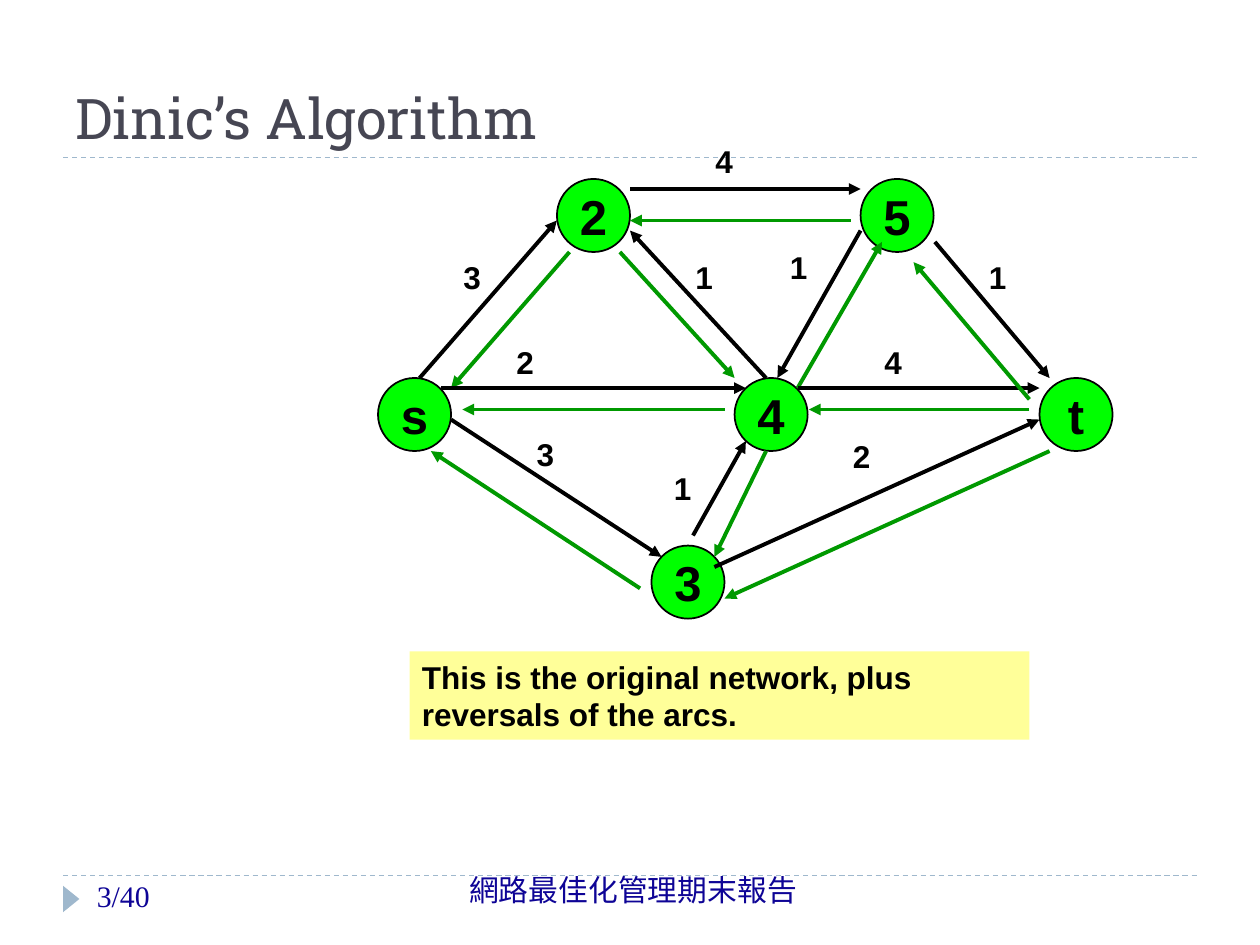
from dataclasses import dataclass

import pptx
import pptx.dml.color
import pptx.enum.dml
import pptx.enum.shapes
import pptx.enum.text
import pptx.oxml.ns
import pptx.util
from lxml import etree
from pptx.util import Inches

ANCHOR = pptx.enum.text.MSO_ANCHOR
ALIGN = pptx.enum.text.PP_ALIGN
FIT = pptx.enum.text.MSO_AUTO_SIZE
SHAPE = pptx.enum.shapes.MSO_SHAPE


@dataclass(frozen=True)
class Theme:
    ink: str = "000000"
    title: str = "464653"
    footer: str = "0E0496"
    rule: str = "9FB8CD"
    node: str = "00FF00"
    reverse: str = "009900"
    note: str = "FFFF99"
    title_size: int = 32
    node_size: int = 28
    label_size: int = 18
    footer_size: int = 17
    font: str = "Arial"
    title_font: str = "Roboto Slab"
    footer_font: str = "Cabin"
    number_font: str = "Times New Roman"


THEME = Theme()
NODE_SIZE = 0.58
LABEL_BOX = (0.59, 0.4)

NODES = {
    "s": (0, 2), "2": (1.42, 0.42), "4": (2.83, 2),
    "5": (3.83, 0.42), "3": (2.17, 3.33), "t": (5.25, 2),
}

# capacity, label position, forward start and end, reverse start and end
ARCS = [
    ("3", (1.16, 2.4), (0.58, 2.33), (2.25, 3.42), (2.08, 3.67), (0.42, 2.58)),
    ("3", (0.58, 1), (0.33, 2), (1.42, 0.75), (1.52, 1), (0.58, 2.08)),
    ("2", (1, 1.67), (0.5, 2.08), (2.92, 2.08), (2.75, 2.25), (0.67, 2.25)),
    ("1", (2.42, 1), (3.08, 2), (2, 0.83), (1.92, 1), (2.83, 2)),
    ("4", (2.58, 0.08), (2, 0.5), (3.83, 0.5), (3.75, 0.75), (2, 0.75)),
    ("1", (3.17, 0.92), (3.83, 0.83), (3.17, 2), (3.33, 2.08), (4, 0.92)),
    ("4", (3.92, 1.67), (3.33, 2.08), (5.25, 2.08), (5.17, 2.25), (3.42, 2.25)),
    ("1", (2.25, 2.67), (2.5, 3.25), (2.92, 2.5), (3.08, 2.58), (2.67, 3.42)),
    ("2", (3.67, 2.42), (2.67, 3.5), (5.25, 2.33), (5.33, 2.58), (2.75, 3.75)),
    ("1", (4.75, 1), (4.42, 0.92), (5.33, 2), (5.17, 2.17), (4.25, 1.08)),
]


def rgb(color):
    return pptx.dml.color.RGBColor.from_string(color)


def put_text(sp, text, size=THEME.label_size, font=THEME.font, color=THEME.ink,
             bold=False, align=ALIGN.LEFT, anchor=ANCHOR.TOP, wrap=True,
             fit=FIT.NONE, spacing=None):
    tf = sp.text_frame
    tf.word_wrap = wrap
    tf.auto_size = fit
    tf.vertical_anchor = anchor
    p = tf.paragraphs[0]
    p.alignment = align
    if spacing:
        p.line_spacing = spacing
    r = p.add_run()
    r.text = text
    r.font.size = pptx.util.Pt(size)
    r.font.name = font
    r.font.bold = bold
    r.font.color.rgb = rgb(color)


def add_box(shapes, kind, left, top, width, height, fill, line=None):
    sp = shapes.add_shape(kind, Inches(left), Inches(top), Inches(width), Inches(height))
    sp.shadow.inherit = False
    sp.fill.solid()
    sp.fill.fore_color.rgb = rgb(fill)
    if line:
        sp.line.color.rgb = rgb(line)
        sp.line.width = pptx.util.Pt(1)
    else:
        sp.line.fill.background()
    return sp


def add_textbox(shapes, left, top, width, height, text, **style):
    sp = shapes.add_textbox(Inches(left), Inches(top), Inches(width), Inches(height))
    put_text(sp, text, **style)


def add_line(shapes, start, end, color, width):
    cx = shapes.add_connector(pptx.enum.shapes.MSO_CONNECTOR.STRAIGHT,
                              *(Inches(v) for v in (*start, *end)))
    cx.line.color.rgb = rgb(color)
    cx.line.width = pptx.util.Pt(width)
    etree.SubElement(cx._element.spPr, pptx.oxml.ns.qn("a:effectLst"))
    return cx


def add_arrow(shapes, start, end, color):
    cx = add_line(shapes, start, end, color, 2.25)
    etree.SubElement(cx.line._get_or_add_ln(), pptx.oxml.ns.qn("a:tailEnd"), type="triangle")


def add_rule(shapes, left, top, width):
    cx = add_line(shapes, (left, top), (left + width, top), THEME.rule, 0.75)
    cx.line.dash_style = pptx.enum.dml.MSO_LINE.DASH


def add_title(s, left, top, width, height):
    add_rule(s.shapes, left, top + height, width)
    sp = s.shapes.title
    sp.left, sp.top, sp.width, sp.height = map(Inches, (left, top, width, height))
    put_text(sp, "Dinic’s Algorithm", size=THEME.title_size, font=THEME.title_font,
             color=THEME.title, anchor=ANCHOR.BOTTOM)


def add_footer(s, left, top, width):
    add_rule(s.shapes, left, top, width)
    marker = add_box(s.shapes, SHAPE.ISOSCELES_TRIANGLE, left - 0.04, top + 0.12,
                     0.21, 0.13, THEME.rule)
    marker.rotation = 90
    style = dict(size=THEME.footer_size, color=THEME.footer, spacing=0.9)
    add_textbox(s.shapes, left + 2.61, top - 0.05, 3.83, 0.4, "網路最佳化管理期末報告",
                font=THEME.footer_font, align=ALIGN.CENTER, **style)
    add_textbox(s.shapes, left + 0.17, top, 2.17, 0.4, "3/40",
                font=THEME.number_font, **style)


def add_network(s, left, top):
    shapes = s.shapes.add_group_shape().shapes

    def place(point):
        return left + point[0], top + point[1]

    for capacity, label_at, *_ in ARCS:
        add_textbox(shapes, *place(label_at), *LABEL_BOX, capacity, bold=True,
                    fit=FIT.SHAPE_TO_FIT_TEXT)
    for name, corner in NODES.items():
        sp = add_box(shapes, SHAPE.OVAL, *place(corner), NODE_SIZE, NODE_SIZE,
                     THEME.node, THEME.ink)
        put_text(sp, name, size=THEME.node_size, bold=True, align=ALIGN.CENTER,
                 anchor=ANCHOR.MIDDLE, wrap=False)
    for _, _, start, end, back_start, back_end in ARCS:
        add_arrow(shapes, place(start), place(end), THEME.ink)
        add_arrow(shapes, place(back_start), place(back_end), THEME.reverse)


def add_note(s, left, top, width, height):
    sp = add_box(s.shapes, SHAPE.RECTANGLE, left, top, width, height, THEME.note)
    put_text(sp, "This is the original network, plus reversals of the arcs.",
             bold=True, fit=FIT.SHAPE_TO_FIT_TEXT)


def main():
    prs = pptx.Presentation()
    prs.slide_width, prs.slide_height = Inches(10), Inches(7.5)
    s = prs.slides.add_slide(prs.slide_layouts[5])
    add_footer(s, 0.5, 6.95, 9)
    add_title(s, 0.5, 0.25, 9, 1)
    add_note(s, 3.25, 5.17, 4.92, 0.7)
    add_network(s, 3, 1)
    prs.save("out.pptx")


if __name__ == "__main__":
    main()
